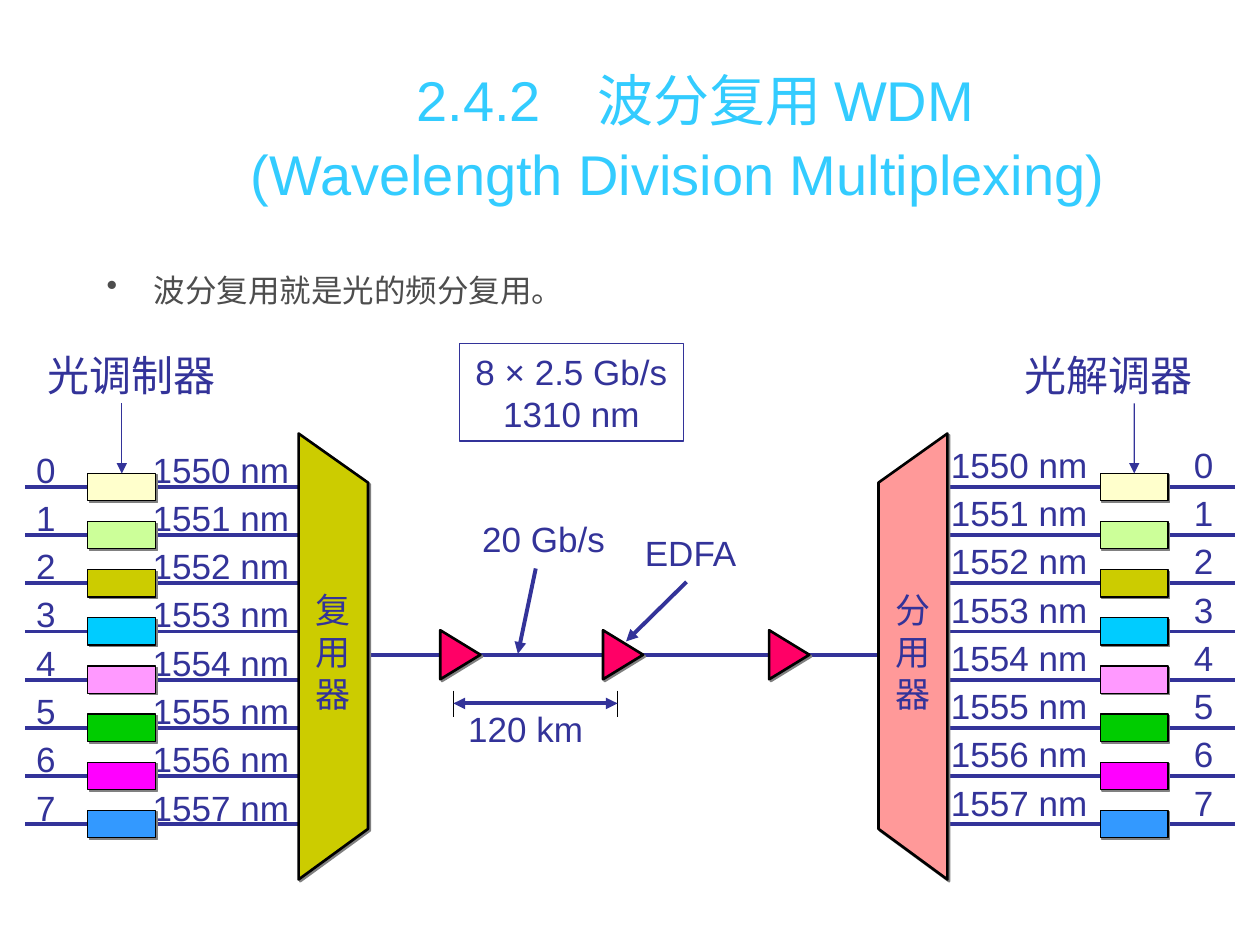
"""Build a slide that explains wavelength division multiplexing."""
from lxml import etree
from pptx import Presentation
from pptx.dml.color import RGBColor
from pptx.enum.shapes import MSO_CONNECTOR, MSO_SHAPE
from pptx.enum.text import MSO_ANCHOR, PP_ALIGN
from pptx.oxml.ns import qn
from pptx.util import Cm, Pt

STRAIGHT = MSO_CONNECTOR.STRAIGHT
RECT, TRIANGLE = MSO_SHAPE.RECTANGLE, MSO_SHAPE.ISOSCELES_TRIANGLE
CENTER, LEFT = PP_ALIGN.CENTER, PP_ALIGN.LEFT
MIDDLE, TOP = MSO_ANCHOR.MIDDLE, MSO_ANCHOR.TOP

COLORS = {"ink": "333399", "title": "33CCFF", "body": "4D4D4D", "black": "000000",
          "shadow": "808080", "amp": "FF0066", "mux": "CCCC00", "demux": "FF9999"}
CHANNELS = ["FFFFCC", "CCFF99", "CCCC00", "00CCFF",
            "FF99FF", "00CC00", "FF00FF", "3399FF"]
TITLE = ["2.4.2　波分复用 WDM", "(Wavelength Division Multiplexing)"]
BODY = ["波分复用就是光的频分复用。"]
RATE = ["8 × 2.5 Gb/s", "1310 nm"]
LABELS = [
    (["20 Gb/s"], (9.47, 10.31, 3.6, 1.12), 20, "Arial"),
    (["EDFA"], (12.75, 10.59, 2.8, 1.12), 20, "Arial"),
    (["120 km"], (9.19, 14.14, 3.4, 1.12), 20, "Arial"),
    (["复", "用", "器"], (6.12, 11.73, 1.22, 2.79), 20, "Times New Roman"),
    (["分", "用", "器"], (17.81, 11.73, 1.22, 2.79), 20, "Times New Roman"),
    (["光调制器"], (0.71, 6.93, 4.2, 1.27), 24, "Roboto"),
    (["光解调器"], (20.4, 6.93, 4.2, 1.27), 24, "Roboto"),
]
SIDES = [
    {"box": 22.18, "line": (19.1, 24.89)},
    {"box": 1.77, "line": (0.51, 6.3)},
]
PRISMS = [("mux", 6.02, 7.42), ("demux", 19.1, 17.71)]
AMPLIFIERS = [9.28, 12.56, 15.91]
SPAN = (9.14, 12.45)
ROW_TOP, ROW_STEP = 9.82, 0.97
BOX_W, BOX_H = 1.37, 0.55
TRUNK_Y = 13.2


def rgb(name):
    return RGBColor.from_string(COLORS.get(name, name))


def write(s, lines, size, font="Arial", color="ink", align=LEFT,
          anchor=TOP, spacing=None, tab=None):
    tf = s.text_frame
    tf.word_wrap = True
    tf.vertical_anchor = anchor
    for i, line in enumerate(lines):
        p = tf.paragraphs[0] if i == 0 else tf.add_paragraph()
        p.text = line
        p.alignment = align
        p.line_spacing = spacing or Pt(size * 1.2)
        if tab:
            tabs = etree.SubElement(p._p.get_or_add_pPr(), qn("a:tabLst"))
            etree.SubElement(tabs, qn("a:tab"), pos=str(Cm(tab)), algn="l")
        p.font.size = Pt(size)
        p.font.name = font
        p.font.color.rgb = rgb(color)
    return tf


def add_text(slide, lines, at, size, **style):
    s = slide.shapes.add_textbox(*map(Cm, at))
    return write(s, lines, size, **style)


def add_line(slide, start, end, color="ink", width=2.25, head=False, tail=False):
    c = slide.shapes.add_connector(STRAIGHT, *map(Cm, start + end))
    c.line.color.rgb = rgb(color)
    c.line.width = Pt(width)
    ln = c.line._get_or_add_ln()
    for tag, shown in (("a:headEnd", head), ("a:tailEnd", tail)):
        if shown:
            etree.SubElement(ln, qn(tag), type="triangle")
    etree.SubElement(c._element.spPr, qn("a:effectLst"))
    return c


def paint(s, fill, width):
    s.fill.solid()
    s.fill.fore_color.rgb = rgb(fill)
    s.line.color.rgb = rgb("black")
    s.line.width = Pt(width)
    s.shadow.inherit = False
    effects = s._element.spPr.find(qn("a:effectLst"))
    shadow = etree.SubElement(effects, qn("a:outerShdw"), dist=str(Pt(1.4)),
                              dir="2700000", algn="ctr", rotWithShape="0")
    etree.SubElement(shadow, qn("a:srgbClr"), val=COLORS["shadow"])
    return s


def add_headings(slide):
    tf = add_text(slide, TITLE, (3.2, 0.65, 21.64, 4.06), 32, color="title",
                  align=CENTER, anchor=MIDDLE, spacing=Pt(42))
    tf.paragraphs[1]._p.pPr.set("marR", str(Cm(0.7)))
    tf = add_text(slide, BODY, (1.9, 5.33, 23.01, 1.2), 18, color="body", spacing=1.0)
    pPr = tf.paragraphs[0]._p.pPr
    pPr.set("marL", str(Cm(0.95)))
    pPr.set("indent", str(-Cm(0.95)))
    bullet = etree.Element(qn("a:buChar"), char="•")
    pPr.find(qn("a:defRPr")).addprevious(bullet)


def add_rate_box(slide):
    s = slide.shapes.add_shape(RECT, *map(Cm, (9.26, 6.93, 4.52, 1.96)))
    s.shadow.inherit = False
    s.fill.background()
    s.line.color.rgb = rgb("ink")
    s.line.width = Pt(0.75)
    write(s, RATE, 20, align=CENTER, anchor=MIDDLE)


def add_prism(slide, fill, outer, inner):
    points = [(outer, 17.73), (outer, 8.74), (inner, 9.73), (inner, 16.71)]
    points = [(Cm(x), Cm(y)) for x, y in points]
    builder = slide.shapes.build_freeform(*points[0])
    builder.add_line_segments(points[1:], close=True)
    paint(builder.convert_to_shape(), fill, 1.5)


def add_channels(slide, box, line):
    rows = [ROW_TOP + i * ROW_STEP for i in range(len(CHANNELS))]
    for y in rows:
        add_line(slide, (line[0], y), (line[1], y))
    boxes = []
    for y, fill in zip(rows, CHANNELS):
        s = slide.shapes.add_shape(RECT, Cm(box), Cm(y - BOX_H / 2), Cm(BOX_W), Cm(BOX_H))
        boxes.append(paint(s, fill, 0.75))
    x = box + BOX_W / 2
    arrow = add_line(slide, (x, 8.13), (x, ROW_TOP - BOX_H / 2), width=0.75, tail=True)
    arrow.end_connect(boxes[0], 0)


def main():
    prs = Presentation()
    prs.slide_width, prs.slide_height = Cm(25.4), Cm(19.05)
    slide = prs.slides.add_slide(prs.slide_layouts[6])

    waves = [(i, f"{1550 + i} nm") for i in range(len(CHANNELS))]
    add_text(slide, [f"{w}\t{i}" for i, w in waves], (18.92, 8.68, 6.2, 8.05), 20,
             spacing=Pt(27.6), tab=4.9)
    add_text(slide, [f"{i}\t{w}" for i, w in waves], (0.48, 8.78, 6.4, 8.05), 20,
             spacing=Pt(27.6), tab=2.35)
    add_headings(slide)
    add_rate_box(slide)

    for side in SIDES:
        add_channels(slide, **side)
    add_line(slide, (6.45, TRUNK_Y), (18.95, TRUNK_Y))
    for prism in PRISMS:
        add_prism(slide, *prism)
    for x in AMPLIFIERS:
        w, h = 0.99, 0.81
        s = slide.shapes.add_shape(TRIANGLE, Cm(x - w / 2), Cm(TRUNK_Y - h / 2), Cm(w), Cm(h))
        s.rotation = 90
        paint(s, "amp", 1.5)

    add_line(slide, (10.8, 11.46), (10.44, 13.18), tail=True)
    add_line(slide, (13.84, 11.73), (12.62, 12.93), tail=True)
    for x in SPAN:
        add_line(slide, (x, 13.92), (x, 14.45), "black", 0.75)
    add_line(slide, (SPAN[0], 14.18), (SPAN[1], 14.18), head=True, tail=True)
    for lines, at, size, font in LABELS:
        add_text(slide, lines, at, size, font=font)
    prs.save("out.pptx")


if __name__ == "__main__":
    main()
